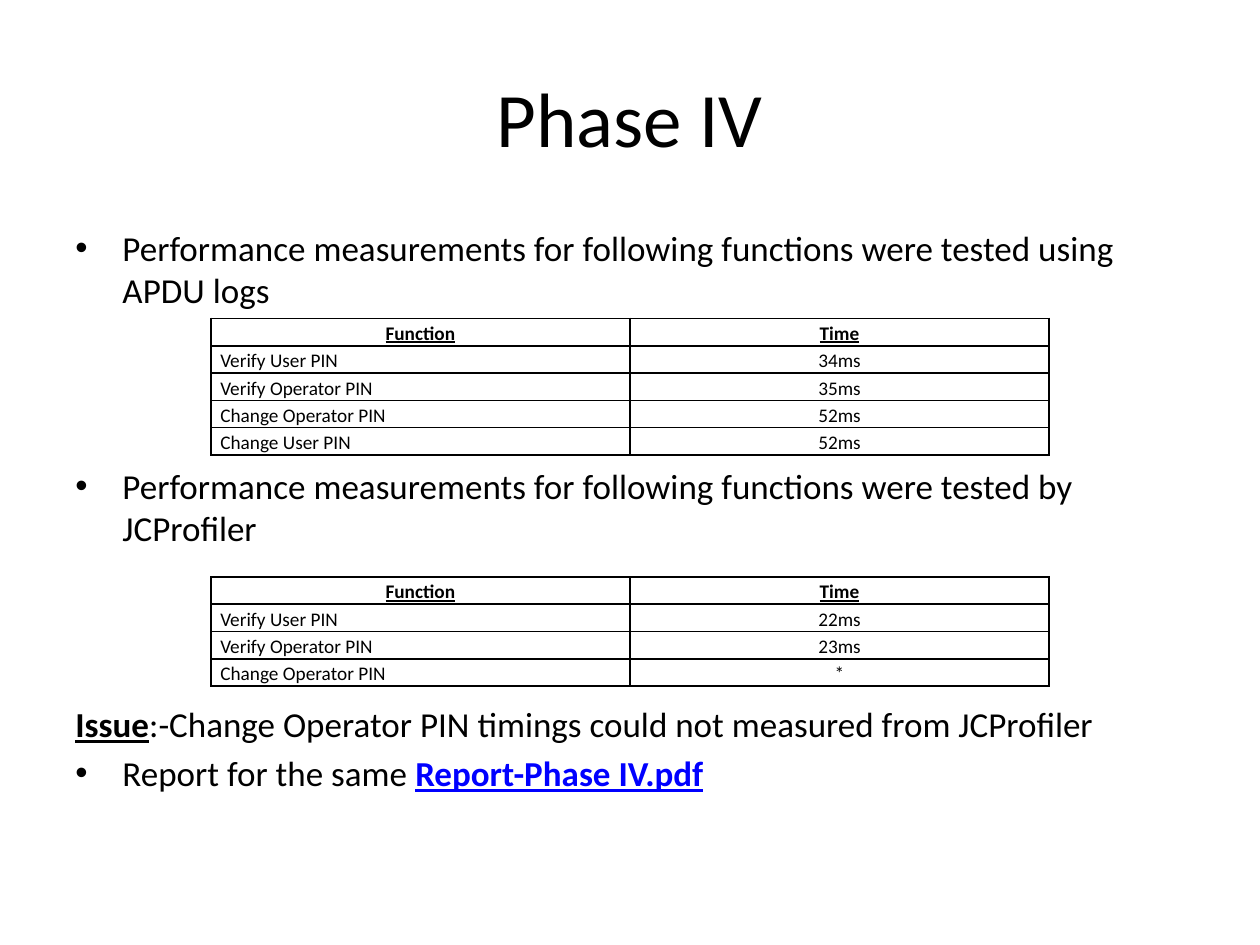
from lxml.etree import SubElement
from pptx import Presentation
from pptx.dml.color import RGBColor
from pptx.enum.text import MSO_ANCHOR, PP_ALIGN
from pptx.oxml.ns import qn
from pptx.util import Cm, Pt


def rgb(value):
    return RGBColor.from_string(value)


def add_run(p, text, size, bold=False, color="000000"):
    r = p.add_run()
    r.text = text
    r.font.name = "Calibri"
    r.font.size = Pt(size)
    r.font.bold = bold
    r.font.underline = bold
    r.font.color.rgb = rgb(color)


prs = Presentation()
prs.slide_width, prs.slide_height = Cm(25.4), Cm(19.05)
s = prs.slides.add_slide(prs.slide_layouts[6])

sp = s.shapes.add_textbox(Cm(1.27), Cm(0.76), Cm(22.86), Cm(3.18))
tf = sp.text_frame
tf.word_wrap = True
tf.vertical_anchor = MSO_ANCHOR.MIDDLE
p = tf.paragraphs[0]
p.alignment = PP_ALIGN.CENTER
add_run(p, "Phase IV", 44)

body = [
    (True, 4, [("Performance measurements for following functions were tested using APDU logs",)]),
    (True, 88, [("Performance measurements for following functions were tested by JCProfiler",)]),
    (False, 88, [("Issue", True), (":-Change Operator PIN timings could not measured from JCProfiler",)]),
    (True, 4, [("Report for the same ",), ("Report-Phase IV.pdf", True, "0000FF")]),
]
sp = s.shapes.add_textbox(Cm(1.27), Cm(4.45), Cm(22.86), Cm(12.57))
tf = sp.text_frame
tf.word_wrap = True
for i, (bullet, gap, runs) in enumerate(body):
    p = tf.add_paragraph() if i else tf.paragraphs[0]
    p.space_before = Pt(gap)
    if bullet:
        pPr = p._p.get_or_add_pPr()
        pPr.set("marL", str(Cm(0.95)))
        pPr.set("indent", str(-Cm(0.95)))
        SubElement(pPr, qn("a:buFont"), typeface="Arial")
        SubElement(pPr, qn("a:buChar"), char="•")
    for text, *style in runs:
        add_run(p, text, 20, *style)

header = ("Function", "Time")
tables = [
    (6.42, [header, ("Verify User PIN", "34ms"), ("Verify Operator PIN", "35ms"),
            ("Change Operator PIN", "52ms"), ("Change User PIN", "52ms")]),
    (11.63, [header, ("Verify User PIN", "22ms"), ("Verify Operator PIN", "23ms"),
             ("Change Operator PIN", "*")]),
]
for top, rows in tables:
    tbl = s.shapes.add_table(len(rows), 2, Cm(4.25), Cm(top), Cm(16.9), Cm(0.55 * len(rows))).table
    tbl.first_row = tbl.horz_banding = False
    for i, row in enumerate(rows):
        tbl.rows[i].height = Cm(0.55)
        for j, text in enumerate(row):
            cell = tbl.cell(i, j)
            cell.margin_left = cell.margin_right = Cm(0.19)
            cell.margin_top = cell.margin_bottom = 0
            tcPr = cell._tc.get_or_add_tcPr()
            for side in ("lnL", "lnR", "lnT", "lnB"):
                ln = SubElement(tcPr, qn(f"a:{side}"), w=str(Pt(1)))
                fill = SubElement(ln, qn("a:solidFill"))
                SubElement(fill, qn("a:srgbClr"), val=str(rgb("000000")))
            cell.fill.background()
            p = cell.text_frame.paragraphs[0]
            p.line_spacing = 1.15
            p.alignment = PP_ALIGN.CENTER if i == 0 or j == 1 else PP_ALIGN.LEFT
            add_run(p, text, 11, i == 0)

prs.save("out.pptx")
